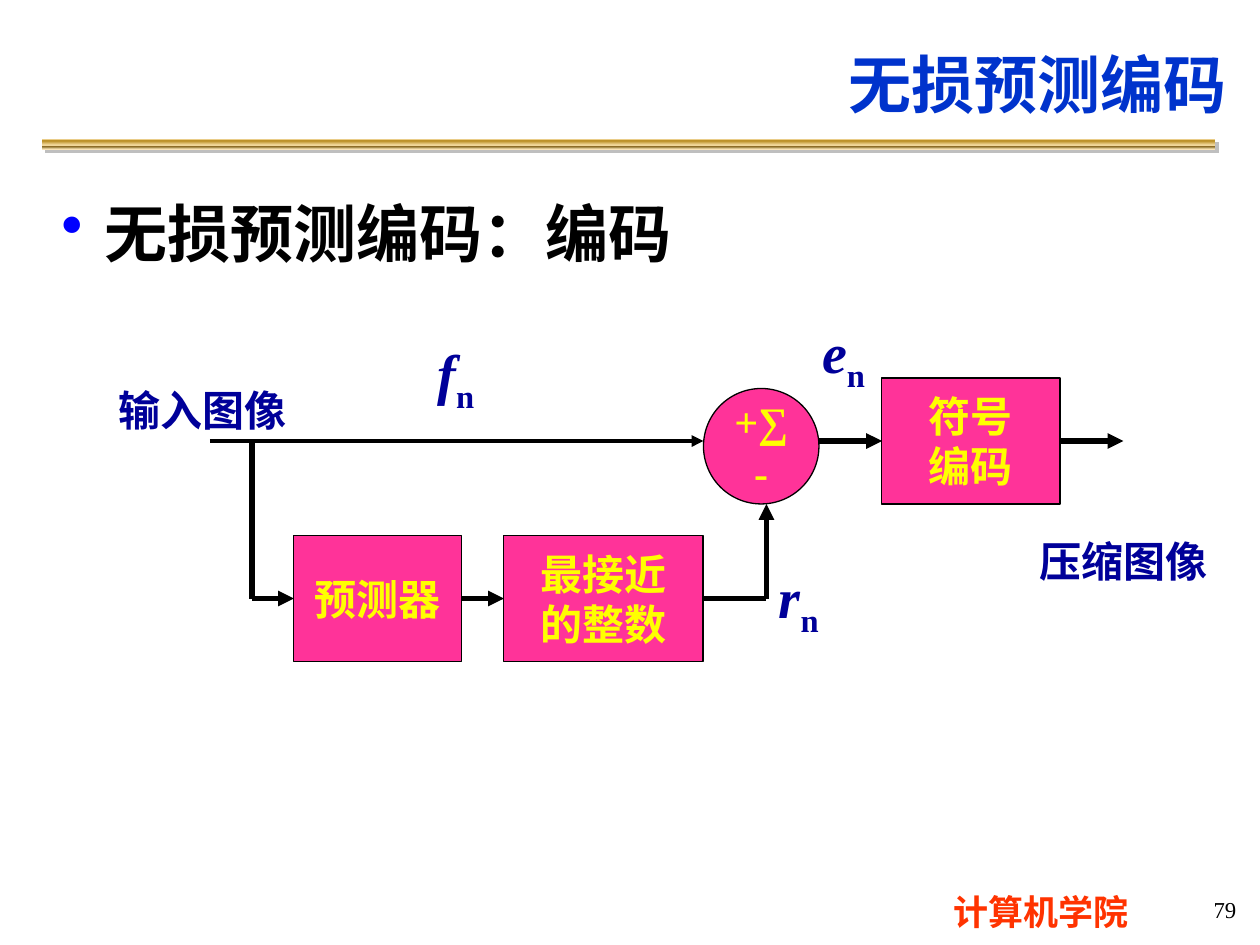
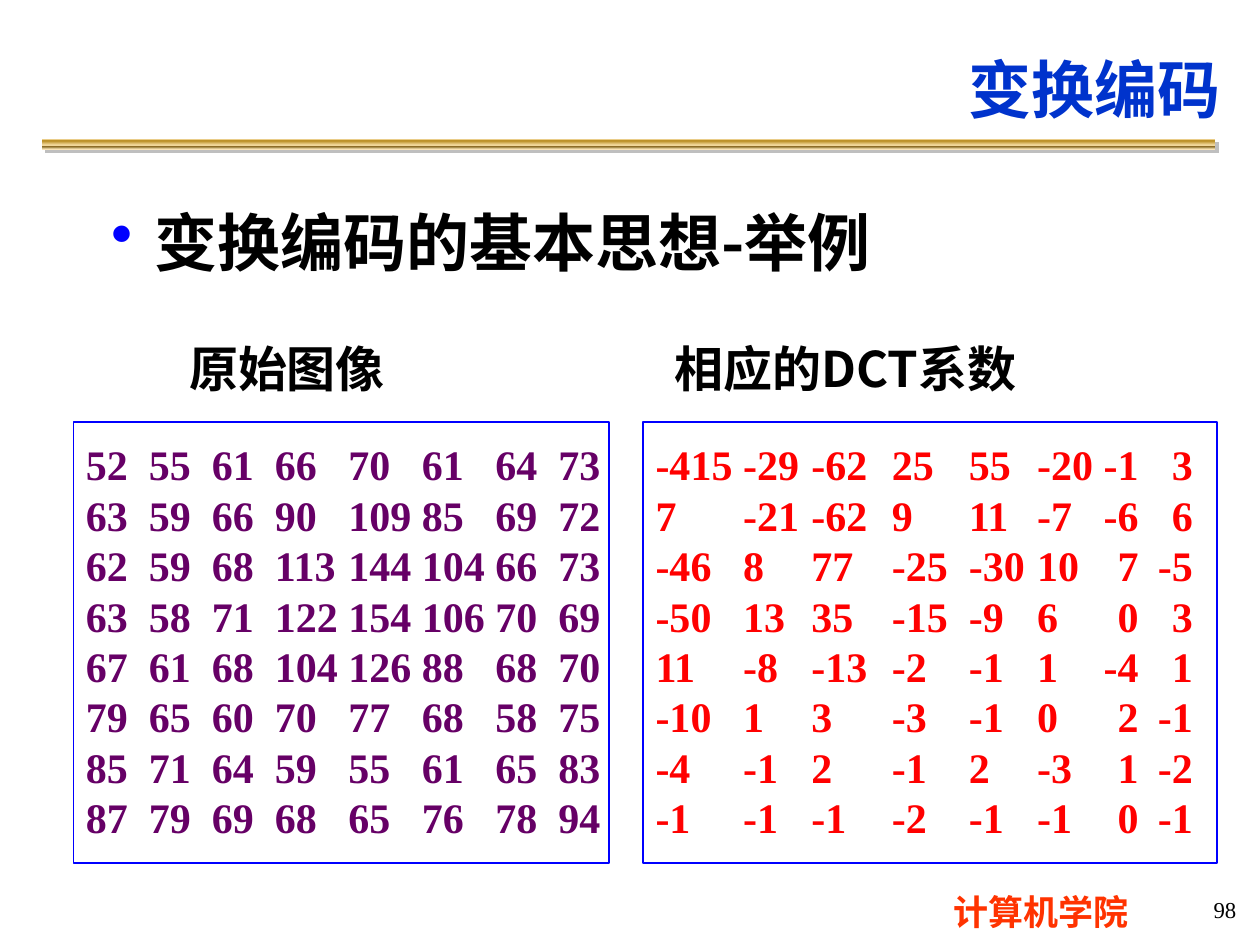
from lxml import etree
from pptx import Presentation
from pptx.dml import color
from pptx.enum import shapes, text
from pptx.oxml import ns, parse_xml
from pptx.util import Pt

SANS, SERIF = "Noto Sans CJK SC", "Times New Roman"
BLACK, BLUE, NAVY, YELLOW = "000000", "0000FF", "000099", "FFFF00"
LEFT, CENTER, RIGHT = text.PP_ALIGN.LEFT, text.PP_ALIGN.CENTER, text.PP_ALIGN.RIGHT
TOP, MIDDLE = text.MSO_ANCHOR.TOP, text.MSO_ANCHOR.MIDDLE
NAMESPACE = ns.nsdecls("a")
rgb = color.RGBColor.from_string

TITLE = {"name": SANS, "size": Pt(36), "bold": True, "color": "0033CC"}
HEADLINE = {**TITLE, "color": BLACK}
CAPTION = {**HEADLINE, "size": Pt(28)}
SCHOOL = {"name": SANS, "size": Pt(20), "bold": True, "color": "FF3300"}
NUMBER = {"name": SERIF, "size": Pt(13), "bold": False, "color": BLACK}
BLOCK = {"name": SERIF, "size": Pt(24), "bold": True, "color": YELLOW}
LABEL = {**BLOCK, "color": NAVY}
SYMBOL = {**LABEL, "size": Pt(32), "italic": True}


def add_span(para, words, look):
    span = para.add_run()
    span.text = words
    for key, value in look.items():
        if key == "color":
            span.font.color.rgb = rgb(value)
        else:
            setattr(span.font, key, value)
    etree.SubElement(span.font._element, ns.qn("a:ea"), typeface=SANS)
    return span


def write(box, lines, look, align=LEFT, anchor=MIDDLE, wrap=True, spacing=None):
    frame = box.text_frame
    for key, value in {"word_wrap": wrap, "vertical_anchor": anchor}.items():
        setattr(frame, key, value)
    for index, line in enumerate(lines):
        para = frame.add_paragraph() if index else frame.paragraphs[0]
        para.alignment = align
        if spacing:
            para.line_spacing = Pt(spacing)
        add_span(para, line, look)
    return frame


deck = Presentation()
deck.slide_width, deck.slide_height = Pt(720), Pt(540)

band_stops = [(0, "FBE4AE"), (13, "BD922A"), (21, "BD922A"), (63, "FBE4AE"),
              (67, "BD922A"), (69, "835E17"), (82, "A28949"), (100, "FAE3B7")]
stops_xml = "".join(f'<a:gs pos="{place * 1000}"><a:srgbClr val="{shade}"/></a:gs>'
                    for place, shade in band_stops)
gradient_xml = (f'<a:gradFill {NAMESPACE} rotWithShape="1"><a:gsLst>{stops_xml}</a:gsLst>'
                '<a:lin ang="5400000" scaled="1"/></a:gradFill>')
shadow_xml = (f'<a:effectLst {NAMESPACE}><a:outerShdw dist="35921" dir="2700000" algn="ctr" '
              'rotWithShape="0"><a:srgbClr val="808080"><a:alpha val="50000"/></a:srgbClr>'
              '</a:outerShdw></a:effectLst>')

page_specs = [
    ("无损预测编码", (34.5, 22.5, 673.5, 50.5), "79", "无损预测编码：编码", (28, 107.5, 641.5, 99)),
    ("变换编码", (307.5, 17, 397, 67), "98", "变换编码的基本思想-举例", (56.5, 113, 611.5, 120)),
]
pages, bodies = [], []
for title, title_place, number, headline, body_place in page_specs:
    page = deck.slides.add_slide(deck.slide_layouts[6])
    band = page.shapes.add_shape(shapes.MSO_SHAPE.RECTANGLE, Pt(24), Pt(79.5), Pt(670.5), Pt(5.75))
    band.line.fill.background()
    outline = band._element.spPr.find(ns.qn("a:ln"))
    outline.addprevious(parse_xml(gradient_xml))
    outline.addnext(parse_xml(shadow_xml))

    for words, place, look, align in [
        ("计算机学院", (496, 505.5, 198, 31), SCHOOL, CENTER),
        (number, (575, 506, 138.5, 27), NUMBER, RIGHT),
        (title, title_place, TITLE, RIGHT),
    ]:
        write(page.shapes.add_textbox(*map(Pt, place)), [words], look, align)

    body = write(page.shapes.add_textbox(*map(Pt, body_place)), [headline], HEADLINE, anchor=TOP)
    settings = body.paragraphs[0]._p.get_or_add_pPr()
    settings.set("marL", str(Pt(24.5)))
    settings.set("indent", str(Pt(-24.5)))
    bullet_color = etree.SubElement(settings, ns.qn("a:buClr"))
    etree.SubElement(bullet_color, ns.qn("a:srgbClr"), val=BLUE)
    etree.SubElement(settings, ns.qn("a:buChar"), char="•")
    pages.append(page)
    bodies.append(body)

coder, transform = pages

signal_y, predict_y = 252, 342
arrows = [
    (120, signal_y, 402, signal_y, 2.25, True),
    (402, predict_y, 438, predict_y, 3, False),
    (438, predict_y, 438, 288, 3, True),
    (144, signal_y, 144, predict_y, 3, False),
    (144, predict_y, 168, predict_y, 3, True),
    (264, predict_y, 288, predict_y, 3, True),
    (468, signal_y, 504, signal_y, 3, True),
    (606, signal_y, 642, signal_y, 3, True),
]
for *ends, weight, has_head in arrows:
    arrow = coder.shapes.add_connector(shapes.MSO_CONNECTOR.STRAIGHT, *map(Pt, ends))
    arrow.line.color.rgb = rgb(BLACK)
    arrow.line.width = Pt(weight)
    if has_head:
        etree.SubElement(arrow.line._get_or_add_ln(), ns.qn("a:tailEnd"), type="triangle")
    etree.SubElement(arrow._element.spPr, ns.qn("a:effectLst"))

RECTANGLE, OVAL = shapes.MSO_SHAPE.RECTANGLE, shapes.MSO_SHAPE.OVAL
for kind, place, lines in [
    (OVAL, (402, 222, 66, 66), ["+∑", "-"]),
    (RECTANGLE, (503.75, 216, 102, 72), ["符号", "编码"]),
    (RECTANGLE, (167.75, 306, 96, 72), ["预测器"]),
    (RECTANGLE, (287.75, 306, 114, 72), ["最接近", "的整数"]),
]:
    block = coder.shapes.add_shape(kind, *map(Pt, place))
    block.shadow.inherit = False
    block.fill.solid()
    block.fill.fore_color.rgb = rgb("FF3399")
    block.line.color.rgb = rgb(BLACK)
    block.line.width = Pt(0.75)
    write(block, lines, BLOCK, CENTER, wrap=False, spacing=28.8)

for words, left, top in [("压缩图像", 586.5, 302.5), ("输入图像", 60.5, 216)]:
    box = coder.shapes.add_textbox(Pt(left), Pt(top), Pt(111), Pt(36))
    write(box, [words], LABEL, CENTER, wrap=False)

for letter, left, top, width in [("e", 461.5, 180, 41), ("f", 242, 192, 37), ("r", 437, 320.5, 39)]:
    box = coder.shapes.add_textbox(Pt(left), Pt(top), Pt(width), Pt(46))
    frame = write(box, [letter], SYMBOL, CENTER, wrap=False)
    index_span = add_span(frame.paragraphs[0], "n", {**SYMBOL, "italic": False})
    index_span.font._element.set("baseline", "-25000")

captions = bodies[1].add_paragraph()
captions.space_before = Pt(31.5)
captions.line_spacing = Pt(36)
add_span(captions, "\t原始图像\t相应的DCT系数", CAPTION)

pixels = [
    (52, 55, 61, 66, 70, 61, 64, 73),
    (63, 59, 66, 90, 109, 85, 69, 72),
    (62, 59, 68, 113, 144, 104, 66, 73),
    (63, 58, 71, 122, 154, 106, 70, 69),
    (67, 61, 68, 104, 126, 88, 68, 70),
    (79, 65, 60, 70, 77, 68, 58, 75),
    (85, 71, 64, 59, 55, 61, 65, 83),
    (87, 79, 69, 68, 65, 76, 78, 94),
]
coefficients = [
    (-415, -29, -62, 25, 55, -20, -1, 3),
    (7, -21, -62, 9, 11, -7, -6, 6),
    (-46, 8, 77, -25, -30, 10, 7, -5),
    (-50, 13, 35, -15, -9, 6, 0, 3),
    (11, -8, -13, -2, -1, 1, -4, 1),
    (-10, 1, 3, -3, -1, 0, 2, -1),
    (-4, -1, 2, -1, 2, -3, 1, -2),
    (-1, -1, -1, -2, -1, -1, 0, -1),
]
tabbed = [(captions, (44.5, 322), "ll")]
for matrix, left, text_width, border_width, ink, columns, sides in [
    (pixels, 42, 324, 306, "660066", (36, 72, 108, 150, 192, 234, 270), "lllllll"),
    (coefficients, 367.5, 328, 328, "FF0000", (50, 89, 135, 179, 218, 276, 307), "lllllrr"),
]:
    box = transform.shapes.add_textbox(Pt(left), Pt(247), Pt(text_width), Pt(238))
    rows = ["\t".join(map(str, row)) for row in matrix]
    frame = write(box, rows, {**BLOCK, "color": ink}, spacing=28.8)
    tabbed += [(para, columns, sides) for para in frame.paragraphs]

    border = transform.shapes.add_shape(RECTANGLE, Pt(left), Pt(241), Pt(border_width), Pt(252))
    border.shadow.inherit = False
    border.fill.background()
    border.line.color.rgb = rgb(BLUE)
    border.line.width = Pt(1)

for para, columns, sides in tabbed:
    tabs = etree.SubElement(para._p.get_or_add_pPr(), ns.qn("a:tabLst"))
    for column, side in zip(columns, sides):
        etree.SubElement(tabs, ns.qn("a:tab"), pos=str(Pt(column)), algn=side)

deck.save("out.pptx")
